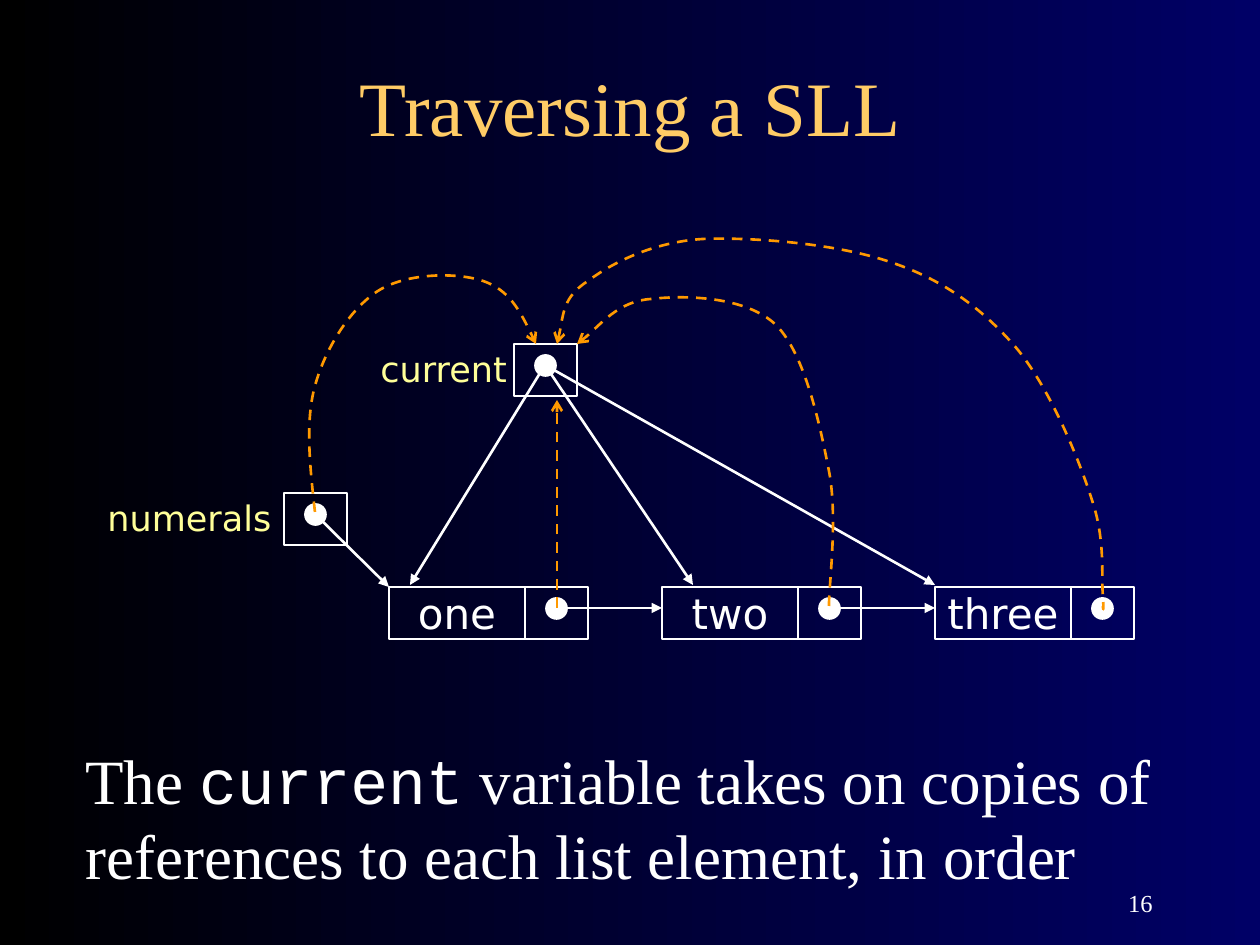
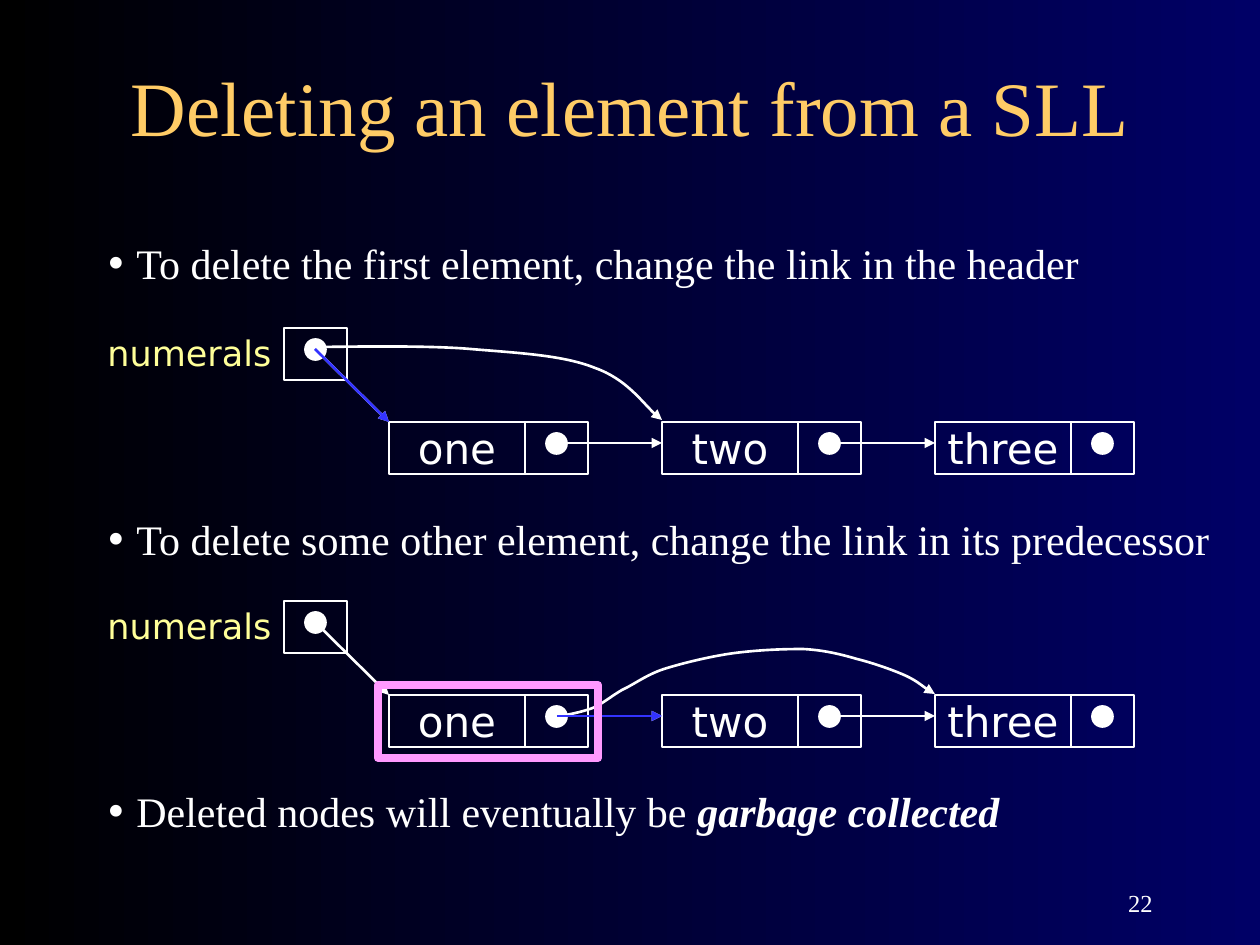
from lxml import etree
from pptx import Presentation
from pptx.dml.color import RGBColor
from pptx.enum import dml, shapes as kinds, text
from pptx.oxml.ns import qn
from pptx.util import Pt

WHITE, GOLD, PALE = "FFFFFF", "FFCC66", "FFFF99"
ORANGE, BLUE, PINK = "FF9900", "3333FF", "FF99FF"
SERIF, SANS, MONO = "Times New Roman", "DejaVu Sans", "Courier New"
CELL_W, CELL_H, DOT = 63, 52, 21
NODE_W, STEP = 136, 273
MID_X, MID_Y = 31, 21
HEAD_X, NODE_X, NODE_Y = 284, 105, 94
DATA = ("one", "two", "three")

FROM_HEAD = [
    (31, 19), (26, -26), (21, -71), (31, -107), (41, -144), (66, -184),
    (94, -202), (122, -220), (172, -221), (199, -212), (225, -203),
    (239, -177), (252, -149)]
FROM_TWO = [
    (545, 113), (545, 90), (554, 25), (545, -22), (536, -68), (521, -139),
    (492, -168), (462, -197), (400, -198), (367, -194), (335, -192),
    (308, -159), (293, -149)]
FROM_THREE = [
    (819, 113), (819, 117), (820, 121), (819, 103), (817, 85), (822, 48),
    (808, 7), (795, -34), (767, -102), (734, -143), (701, -182),
    (662, -212), (609, -230), (556, -249), (471, -256), (419, -254),
    (369, -251), (328, -230), (304, -212), (279, -196), (279, -172),
    (273, -149)]
SKIP_ONE = [
    (31, 19), (56, 19), (139, 17), (186, 21), (233, 25), (279, 27),
    (311, 40), (342, 51), (364, 82), (378, 92)]
SKIP_TWO = [
    (273, 115), (278, 115), (294, 112), (306, 108), (316, 105), (326, 96),
    (338, 89), (351, 83), (362, 74), (380, 68), (399, 62), (428, 55),
    (451, 52), (475, 49), (497, 48), (519, 48), (539, 49), (556, 53),
    (573, 58), (589, 62), (606, 68), (618, 73), (632, 79), (643, 89),
    (651, 93)]


def px(n):
    return round(n * 914400 / 126)


def rgb(tone):
    return RGBColor.from_string(tone)


def style(run, size, face, tone):
    run.font.size = Pt(size)
    run.font.name = face
    run.font.color.rgb = rgb(tone)


def write(shapes, box, parts, size, tone=WHITE, face=SERIF,
          align=text.PP_ALIGN.LEFT, anchor=text.MSO_ANCHOR.TOP):
    frame = shapes.add_textbox(*map(px, box)).text_frame
    frame.word_wrap = True
    frame.vertical_anchor = anchor
    para = frame.paragraphs[0]
    para.alignment = align
    for part in parts:
        run = para.add_run()
        run.text = part
        style(run, size, face, tone)
    return para


def stroke(shape, tone, width, dash=False, tip=None):
    shape.line.color.rgb = rgb(tone)
    shape.line.width = Pt(width)
    if dash:
        shape.line.dash_style = dml.MSO_LINE.DASH
    if tip:
        line = shape._element.spPr.find(qn("a:ln"))
        etree.SubElement(line, qn("a:tailEnd"), type=tip)


def draw(shapes, kind, box, fill=None, tone=WHITE, width=1):
    shape = shapes.add_shape(kind, *map(px, box))
    shape.shadow.inherit = False
    if fill:
        shape.fill.solid()
        shape.fill.fore_color.rgb = rgb(fill)
    else:
        shape.fill.background()
    stroke(shape, tone, width)
    return shape


def arrow(shapes, start, end, tone=WHITE, width=1.5, dash=False, tip="triangle"):
    link = shapes.add_connector(kinds.MSO_CONNECTOR.STRAIGHT, *map(px, (*start, *end)))
    stroke(link, tone, width, dash, tip)
    etree.SubElement(link._element.spPr, qn("a:effectLst"))


def curve(shapes, x, y, points, tone=WHITE, dash=False, tip="triangle"):
    spots = [(px(x + dx), px(y + dy)) for dx, dy in points]
    pen = shapes.build_freeform(*spots[0])
    pen.add_line_segments(spots[1:], close=False)
    shape = pen.convert_to_shape()
    shape.shadow.inherit = False
    shape.fill.background()
    stroke(shape, tone, 1.5, dash, tip)
    legs = list(shape._element.iter(qn("a:lnTo")))
    for i in range(0, len(legs), 3):
        bend = etree.Element(qn("a:cubicBezTo"))
        legs[i].addprevious(bend)
        for leg in legs[i:i + 3]:
            bend.append(leg[0])
            leg.getparent().remove(leg)


def cell(shapes, x, y):
    draw(shapes, kinds.MSO_SHAPE.RECTANGLE, (x, y, CELL_W, CELL_H))
    draw(shapes, kinds.MSO_SHAPE.OVAL, (x + 21, y + 11, DOT, DOT), WHITE)


def node(shapes, x, y, word):
    box = draw(shapes, kinds.MSO_SHAPE.RECTANGLE, (x, y, NODE_W, CELL_H))
    frame = box.text_frame
    frame.text = word
    frame.word_wrap = False
    frame.vertical_anchor = text.MSO_ANCHOR.MIDDLE
    para = frame.paragraphs[0]
    para.alignment = text.PP_ALIGN.CENTER
    style(para.runs[0], 24, SANS, WHITE)
    cell(shapes, x + NODE_W, y)


def chain(slide, x, y):
    shapes = slide.shapes.add_group_shape().shapes
    left, top = x + NODE_X, y + NODE_Y
    for i, word in enumerate(DATA):
        node(shapes, left + i * STEP, top, word)
    for i in range(len(DATA) - 1):
        start = left + i * STEP + NODE_W + MID_X
        arrow(shapes, (start, top + MID_Y), (left + (i + 1) * STEP, top + MID_Y), width=1)
    cell(shapes, x, y)
    write(shapes, (x - 189, y - 3, 200, 54), ["numerals"], 20, PALE, SANS)
    arrow(shapes, (x + MID_X, y + MID_Y), (left, top))


def walk(slide, x, y):
    shapes = slide.shapes
    chain(slide, x, y)
    left, top = x + 230, y - 149
    cell(shapes, left, top)
    write(shapes, (left - 146, top - 3, 179, 54), ["current"], 20, PALE, SANS)
    for dx in (126, 409, 651):
        arrow(shapes, (left + MID_X, top + MID_Y), (x + dx, y + 92))
    arrow(shapes, (x + 273, y + 115), (x + 273, y - 93), ORANGE, dash=True, tip="arrow")
    for points in (FROM_HEAD, FROM_TWO, FROM_THREE):
        curve(shapes, x, y, points, ORANGE, True, "arrow")


def drop_first(slide, x, y):
    curve(slide.shapes, x, y, SKIP_ONE)
    chain(slide, x, y)
    arrow(slide.shapes, (x + MID_X, y + MID_Y), (x + NODE_X, y + NODE_Y), BLUE)


def drop_next(slide, x, y):
    shapes = slide.shapes
    curve(shapes, x, y, SKIP_TWO)
    chain(slide, x, y)
    arrow(shapes, (x + 273, y + 115), (x + 378, y + 115), BLUE, 1)
    draw(shapes, kinds.MSO_SHAPE.RECTANGLE, (x + 94, y + 84, 220, 73), tone=PINK, width=4.5)


def point(slide, y, *parts):
    para = write(slide.shapes, (95, y, 1134, 72), parts, 24)
    props = para._p.get_or_add_pPr()
    props.set("marL", str(px(29)))
    props.set("indent", str(px(-29)))
    etree.SubElement(props, qn("a:buSzPct"), val="117000")
    etree.SubElement(props, qn("a:buFont"), typeface=SERIF)
    etree.SubElement(props, qn("a:buChar"), char="•")
    return para


def page(deck, title, number):
    slide = deck.slides.add_slide(deck.slide_layouts[6])
    write(slide.shapes, (95, 53, 1071, 105), [title], 44, GOLD,
          align=text.PP_ALIGN.CENTER, anchor=text.MSO_ANCHOR.MIDDLE)
    write(slide.shapes, (903, 861, 262, 63), [number], 14,
          align=text.PP_ALIGN.RIGHT, anchor=text.MSO_ANCHOR.BOTTOM)
    return slide


def backdrop(deck):
    fill = deck.slide_master.background.fill
    fill.gradient()
    fill.gradient_angle = 0
    for stop, place, tone in zip(fill.gradient_stops, (0, 1), ("000000", "000066")):
        stop.position = place
        stop.color.rgb = rgb(tone)


def main():
    deck = Presentation()
    deck.slide_width, deck.slide_height = px(1260), px(945)
    backdrop(deck)

    slide = page(deck, "Traversing a SLL", "16")
    walk(slide, HEAD_X, 493)
    para = write(slide.shapes, (73, 735, 1113, 165), [
        "The ", "current",
        " variable takes on copies of references to each list element, in order"], 36)
    para.runs[1].font.name = MONO

    slide = page(deck, "Deleting an element from a SLL", "22")
    drop_first(slide, HEAD_X, 328)
    drop_next(slide, HEAD_X, 601)
    point(slide, 231, "To delete the first element, change the link in the header")
    point(slide, 507, "To delete some other element, change the link in its predecessor")
    para = point(slide, 779, "Deleted nodes will eventually be ", "garbage collected")
    para.runs[1].font.bold = True
    para.runs[1].font.italic = True
    deck.save("out.pptx")


if __name__ == "__main__":
    main()
